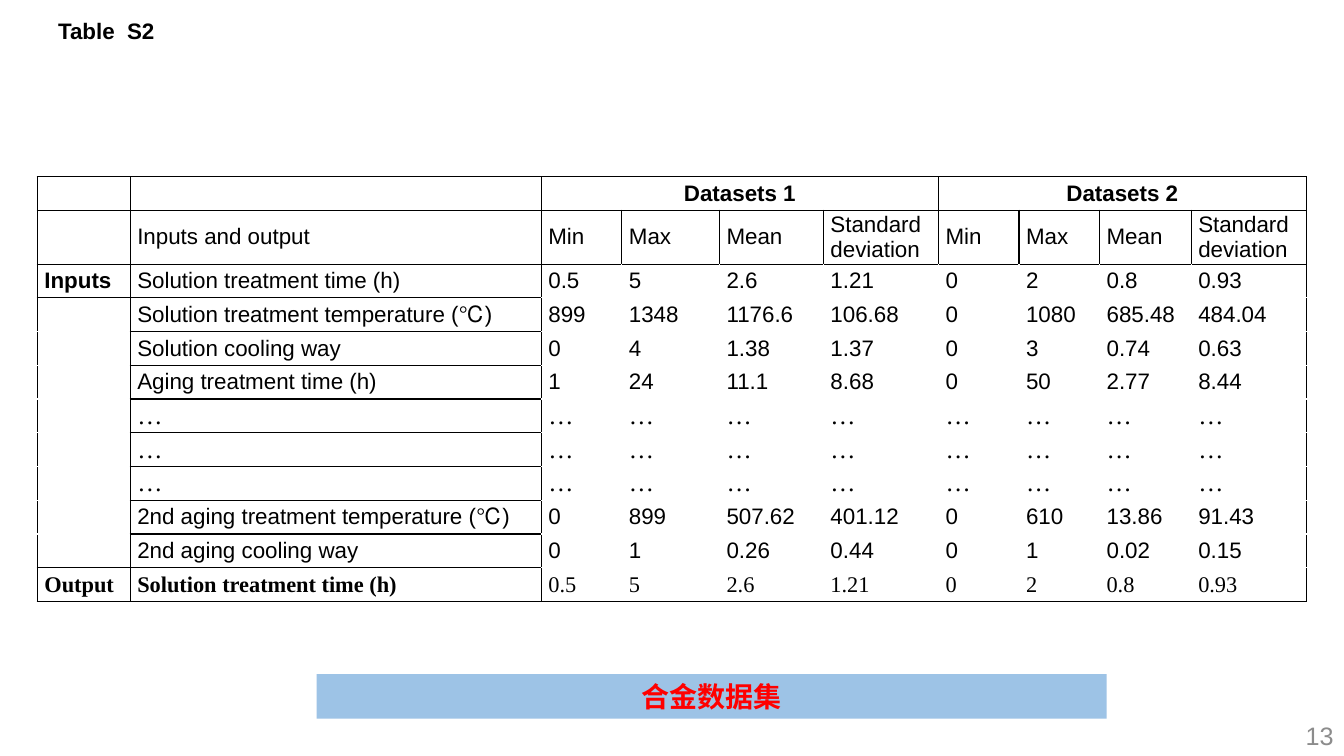
from lxml.etree import SubElement
from pptx import Presentation
from pptx.dml.color import RGBColor
from pptx.enum.shapes import MSO_SHAPE
from pptx.enum.text import MSO_ANCHOR, PP_ALIGN
from pptx.oxml.ns import qn
from pptx.util import Cm, Pt

TITLE = "Table  S2"
LABEL = "合金数据集"
PAGE = "13"
STATS = ["Min", "Max", "Mean", "Standard deviation"]
DOTS = ["…"] * 9
ROWS = [
    ["", "", "Datasets 1", "", "", "", "Datasets 2", "", "", ""],
    ["", "Inputs and output"] + STATS * 2,
    ["Inputs", "Solution treatment time (h)", "0.5", "5", "2.6", "1.21", "0", "2", "0.8", "0.93"],
    ["", "Solution treatment temperature (℃)", "899", "1348", "1176.6", "106.68", "0", "1080", "685.48", "484.04"],
    ["", "Solution cooling way", "0", "4", "1.38", "1.37", "0", "3", "0.74", "0.63"],
    ["", "Aging treatment time (h)", "1", "24", "11.1", "8.68", "0", "50", "2.77", "8.44"],
    [""] + DOTS,
    [""] + DOTS,
    [""] + DOTS,
    ["", "2nd aging treatment temperature (℃)", "0", "899", "507.62", "401.12", "0", "610", "13.86", "91.43"],
    ["", "2nd aging cooling way", "0", "1", "0.26", "0.44", "0", "1", "0.02", "0.15"],
    ["Output", "Solution treatment time (h)", "0.5", "5", "2.6", "1.21", "0", "2", "0.8", "0.93"],
]
WIDTHS = [2.34, 10.36, 2.03, 2.46, 2.62, 2.9, 2.03, 2.03, 2.31, 2.9]
HEIGHTS = [0.85, 1.35] + [0.85] * 10
LAST = len(ROWS) - 1
END = len(WIDTHS)
SPANS = [(2, 5), (6, 9)]


def color(code):
    return RGBColor.from_string(code)


def write(frame, text, size, code, align, bold=False, font="Arial"):
    para = frame.paragraphs[0]
    para.alignment = align
    run = para.add_run()
    run.text = text
    run.font.size = Pt(size)
    run.font.name = font
    run.font.bold = bold
    run.font.color.rgb = color(code)


def box(slide, left, top, width, height, anchor):
    frame = slide.shapes.add_textbox(Cm(left), Cm(top), Cm(width), Cm(height)).text_frame
    frame.word_wrap = True
    frame.vertical_anchor = anchor
    return frame


def border(cell, side, dark):
    line = SubElement(cell._tc.get_or_add_tcPr(), qn("a:ln" + side), w=str(Pt(1)))
    fill = SubElement(line, qn("a:solidFill"))
    SubElement(fill, qn("a:srgbClr"), val="000000" if dark else "FFFFFF")


def flat(row, col):
    return row in (0, 1, 2, LAST + 1) or col == 1 or (col == 0 and row in (3, LAST))


def upright(row, col):
    return row < 2 or col in (0, 1, 2, END)


def style(cell, row, col):
    cell.margin_left = cell.margin_right = Cm(0.18)
    cell.margin_top = cell.margin_bottom = 0
    cell.vertical_anchor = MSO_ANCHOR.MIDDLE
    border(cell, "L", upright(row, col))
    border(cell, "R", upright(row, col + 1))
    border(cell, "T", flat(row, col))
    border(cell, "B", flat(row + 1, col))
    cell.fill.background()


def grid(slide):
    table = slide.shapes.add_table(
        len(ROWS), END, Cm(0.94), Cm(4.45), Cm(sum(WIDTHS)), Cm(sum(HEIGHTS))
    ).table
    table.first_row = table.horz_banding = False
    for col, width in enumerate(WIDTHS):
        table.columns[col].width = Cm(width)
    for row, height in enumerate(HEIGHTS):
        table.rows[row].height = Cm(height)
    for first, last in SPANS:
        table.cell(0, first).merge(table.cell(0, last))
    for row, line in enumerate(ROWS):
        for col, text in enumerate(line):
            cell = table.cell(row, col)
            style(cell, row, col)
            if text:
                align = PP_ALIGN.CENTER if row == 0 else PP_ALIGN.JUSTIFY
                bold = row == 0 or col == 0 or (row == LAST and col == 1)
                serif = row == LAST or text == "…"
                write(cell.text_frame, text, 18 if text == "…" else 16, "000000",
                      align, bold, "Times New Roman" if serif else "Arial")


def bar(slide):
    shape = slide.shapes.add_shape(MSO_SHAPE.RECTANGLE, Cm(7.98), Cm(16.99), Cm(19.91), Cm(1.12))
    shape.shadow.inherit = False
    shape.fill.solid()
    shape.fill.fore_color.rgb = color("9DC3E6")
    shape.line.fill.background()
    shape.text_frame.vertical_anchor = MSO_ANCHOR.TOP
    write(shape.text_frame, LABEL, 20, "FF0000", PP_ALIGN.CENTER, True)


def main():
    deck = Presentation()
    deck.slide_width, deck.slide_height = Cm(33.87), Cm(19.05)
    slide = deck.slides.add_slide(deck.slide_layouts[6])
    number = box(slide, 26.24, 18.01, 7.62, 1.02, MSO_ANCHOR.MIDDLE)
    write(number, PAGE, 18, "8C8C8C", PP_ALIGN.RIGHT)
    title = box(slide, 0, 0.3, 5.36, 0.94, MSO_ANCHOR.TOP)
    write(title, TITLE, 16, "000000", PP_ALIGN.CENTER, True)
    grid(slide)
    bar(slide)
    deck.save("out.pptx")


if __name__ == "__main__":
    main()
